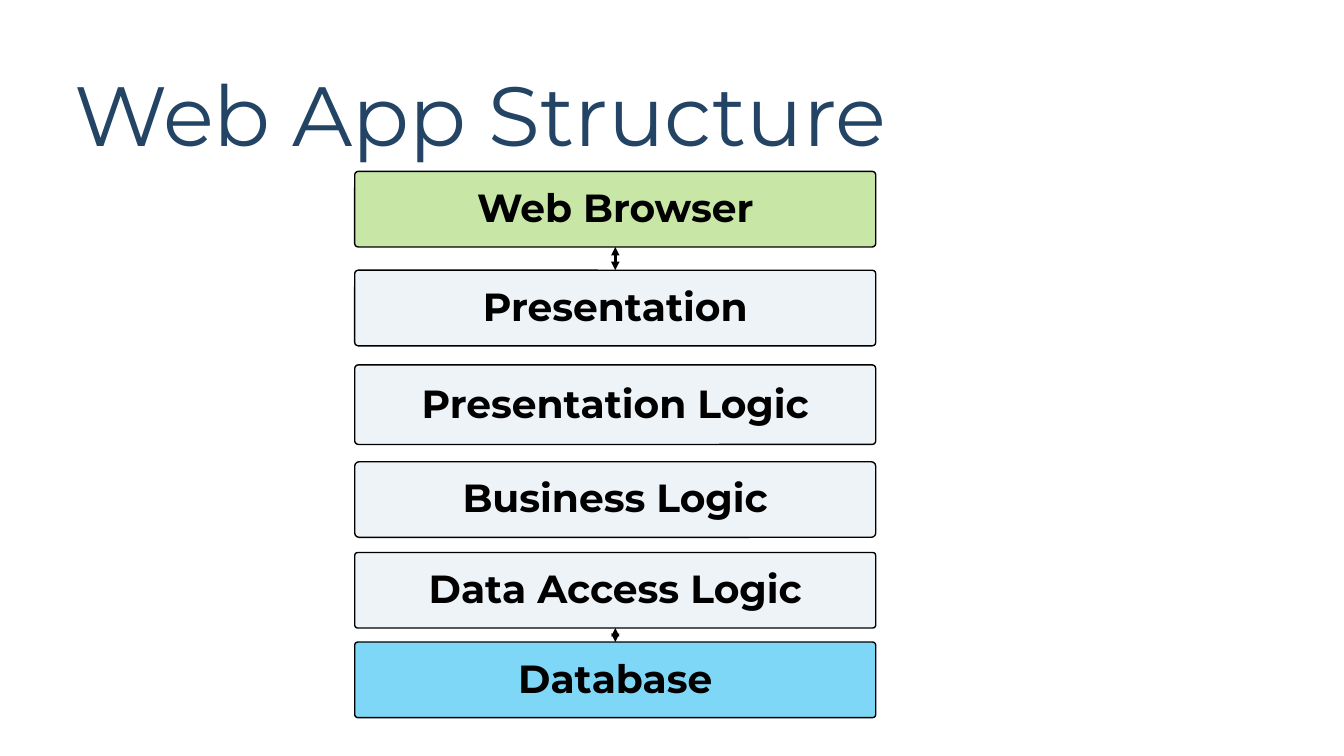
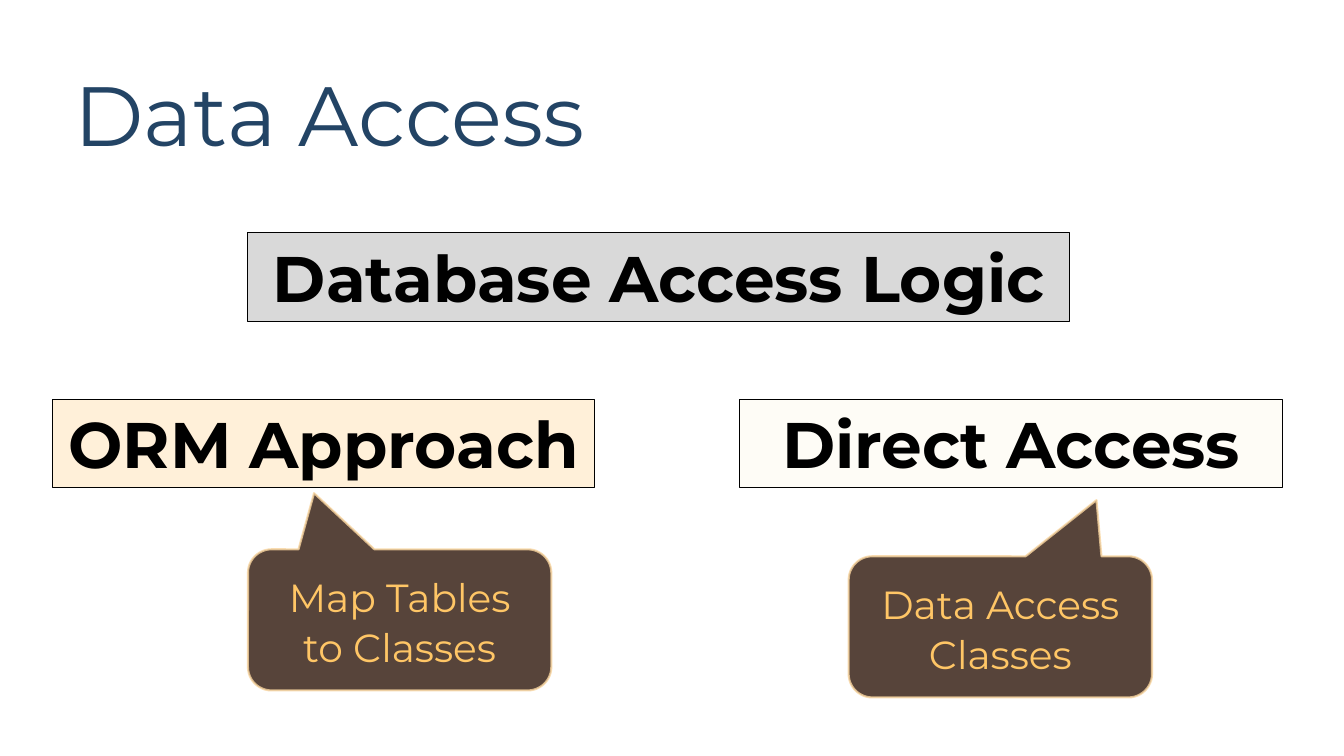
from dataclasses import dataclass
from itertools import pairwise

from lxml.etree import SubElement
from pptx import Presentation
from pptx.dml.color import RGBColor
from pptx.enum.shapes import MSO_CONNECTOR as Connector
from pptx.enum.shapes import MSO_SHAPE as Preset
from pptx.enum.text import MSO_ANCHOR as Anchor
from pptx.enum.text import PP_ALIGN as Align
from pptx.oxml.ns import qn
from pptx.util import Pt

COLORS = {
    "title": "234465",
    "black": "000000",
    "layer": "C7D8EB",
    "browser": "92D050",
    "database": "00B0F0",
    "orm": "FFA000",
    "direct": "FBEEC9",
    "callout": "4E3B30",
    "callout_line": "F8D49E",
    "callout_text": "FFC666",
}
FONT = "Montserrat"


@dataclass(frozen=True)
class Style:
    preset: Preset
    size: float
    bold: bool
    text_color: str
    line_color: str
    line_width: float
    line_opacity: int
    anchor: Anchor
    spacing: float


@dataclass(frozen=True)
class Block:
    text: str
    left: float
    top: float
    width: float
    height: float
    color: str
    opacity: int
    adjustments: tuple[float, ...] = ()


LAYER = Style(Preset.ROUNDED_RECTANGLE, 28, True, "black", "black", 1, 100, Anchor.MIDDLE, 0.95)
BANNER = Style(Preset.RECTANGLE, 46, True, "black", "black", 0.75, 100, Anchor.TOP, 1.0)
CALLOUT = Style(Preset.ROUNDED_RECTANGULAR_CALLOUT, 28, False, "callout_text",
                "callout_line", 1.5, 80, Anchor.MIDDLE, 1.07)


def layer(text: str, top: float, color: str = "layer", opacity: int = 30,
          height: float = 54, corner: float = 0.047) -> Block:
    return Block(text, 253.4, top, 372.2, height, color, opacity, (corner,))


def banner(text: str, left: float, top: float, width: float, color: str) -> Block:
    return Block(text, left, top, width, 63.4, color, 15)


def callout(text: str, left: float, top: float, tip: float) -> Block:
    return Block(text, left, top, 216.7, 100.8, "callout", 95, (tip, -0.898, 0.167))


LAYERS = [
    layer("Web Browser", 122.4, "browser", 50),
    layer("Presentation", 193),
    layer("Presentation Logic", 260.6, height=56.9),
    layer("Business Logic", 329.8, corner=0.059),
    layer("Data Access Logic", 394.6, corner=0.041),
    layer("Database", 458.6, "database", 50, corner=0.041),
]
BANNERS = [
    banner("Database Access Logic", 177.1, 166.3, 586.8, "black"),
    banner("ORM Approach", 37.4, 285.1, 387.4, "orm"),
    banner("Direct Access", 528.5, 285.1, 387.4, "direct"),
]
CALLOUTS = [
    callout("Map Tables to Classes", 177.1, 392.4, -0.282),
    callout("Data Access Classes", 606.2, 397.4, 0.317),
]


def rgb(name: str) -> RGBColor:
    return RGBColor.from_string(COLORS[name])


def set_opacity(parent, percent: int) -> None:
    if percent < 100:
        color = parent.find(qn("a:solidFill")).find(qn("a:srgbClr"))
        SubElement(color, qn("a:alpha"), val=str(percent * 1000))


def write(box, text: str, size: float, color: str, bold: bool, anchor: Anchor,
          align: Align, spacing: float) -> None:
    frame = box.text_frame
    para = frame.paragraphs[0]
    span = para.add_run()
    span.text = text
    formats = (
        (frame, {"word_wrap": True, "vertical_anchor": anchor}),
        (para, {"alignment": align, "line_spacing": spacing}),
        (span.font, {"name": FONT, "size": Pt(size), "bold": bold}),
    )
    for target, values in formats:
        for name, value in values.items():
            setattr(target, name, value)
    span.font.color.rgb = rgb(color)


def add_page(deck, title: str):
    page = deck.slides.add_slide(deck.slide_layouts[6])
    box = page.shapes.add_textbox(Pt(46), Pt(47.5), Pt(913), Pt(75))
    write(box, title, 60, "title", False, Anchor.MIDDLE, Align.LEFT, 0.9)
    return page


def add_block(page, block: Block, style: Style) -> None:
    box = page.shapes.add_shape(style.preset, Pt(block.left), Pt(block.top),
                                Pt(block.width), Pt(block.height))
    box.shadow.inherit = False
    for index, value in enumerate(block.adjustments):
        box.adjustments[index] = value
    box.fill.solid()
    box.fill.fore_color.rgb = rgb(block.color)
    box.line.color.rgb = rgb(style.line_color)
    box.line.width = Pt(style.line_width)
    properties = box.element.spPr
    set_opacity(properties, block.opacity)
    set_opacity(properties.find(qn("a:ln")), style.line_opacity)
    write(box, block.text, style.size, style.text_color, style.bold,
          style.anchor, Align.CENTER, style.spacing)


def add_arrow(page, upper: Block, lower: Block) -> None:
    center = Pt(upper.left + upper.width / 2)
    arrow = page.shapes.add_connector(Connector.STRAIGHT, center,
                                      Pt(upper.top + upper.height), center, Pt(lower.top))
    arrow.line.color.rgb = rgb("black")
    arrow.line.width = Pt(2)
    properties = arrow.element.spPr
    for end in ("a:headEnd", "a:tailEnd"):
        SubElement(properties.find(qn("a:ln")), qn(end), type="triangle")
    SubElement(properties, qn("a:effectLst"))


def build_structure(deck) -> None:
    page = add_page(deck, "Web App Structure")
    for block in LAYERS:
        add_block(page, block, LAYER)
    for upper, lower in pairwise(LAYERS):
        if upper.color != lower.color:
            add_arrow(page, upper, lower)


def build_data_access(deck) -> None:
    page = add_page(deck, "Data Access")
    for blocks, style in ((BANNERS, BANNER), (CALLOUTS, CALLOUT)):
        for block in blocks:
            add_block(page, block, style)


def main() -> None:
    deck = Presentation()
    deck.slide_width, deck.slide_height = Pt(960), Pt(540)
    build_structure(deck)
    build_data_access(deck)
    deck.save("out.pptx")


if __name__ == "__main__":
    main()
